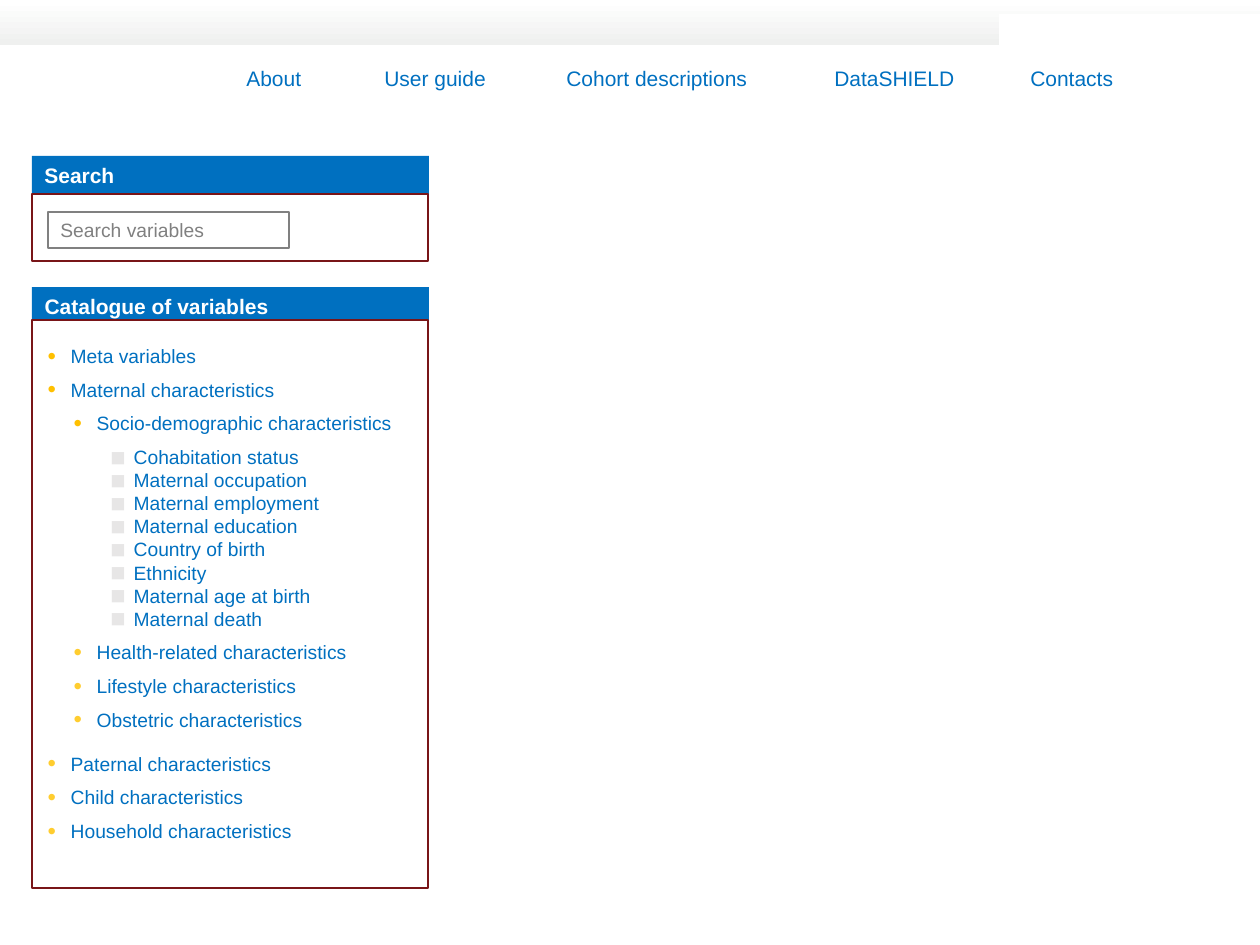
from typing import NamedTuple, Optional

from lxml.etree import SubElement
from pptx import Presentation
from pptx.dml.color import RGBColor
from pptx.enum.shapes import MSO_SHAPE as Preset
from pptx.enum.text import MSO_ANCHOR as Anchor, MSO_AUTO_SIZE as AutoSize, PP_ALIGN as Align
from pptx.oxml.ns import qn
from pptx.util import Emu, Pt

EMU_PER_PX = 914400 / 126
COLORS = {
    "white": "FFFFFF", "band": "EFF0EF", "blue": "0070C0", "maroon": "791518",
    "gray": "808080", "amber": "FFC000", "gold": "FFCD2F", "silver": "E7E6E6",
}
HANGING = 23


class Box(NamedTuple):
    left: int
    top: int
    width: int
    height: int


class Level(NamedTuple):
    margin: int
    bullet: str
    after: int


class Entry(NamedTuple):
    text: str
    level: Level
    bullet_color: str
    before: int = 0


TOPIC = Level(23, "•", 6)
GROUP = Level(49, "•", 6)
VARIABLE = Level(86, "◼", 0)

SOCIO_DEMOGRAPHIC = [
    "Cohabitation status", "Maternal occupation", "Maternal employment",
    "Maternal education", "Country of birth", "Ethnicity",
    "Maternal age at birth", "Maternal death",
]
CATALOGUE = [
    Entry("Meta variables", TOPIC, "amber"),
    Entry("Maternal characteristics", TOPIC, "amber"),
    Entry("Socio-demographic characteristics", GROUP, "amber"),
    *[Entry(name, VARIABLE, "silver") for name in SOCIO_DEMOGRAPHIC],
    Entry("Health-related characteristics", GROUP, "gold", 6),
    Entry("Lifestyle characteristics", GROUP, "gold"),
    Entry("Obstetric characteristics", GROUP, "gold"),
    Entry("Paternal characteristics", TOPIC, "gold", 6),
    Entry("Child characteristics", TOPIC, "gold"),
    Entry("Household characteristics", TOPIC, "gold"),
]
NAVIGATION = ["About", "User guide", "Cohort descriptions", "DataSHIELD", "Contacts"]
NAVIGATION_STOPS = [138, 320, 588, 784]


def px(length: int) -> Emu:
    return Emu(round(length * EMU_PER_PX))


def rgb(name: str) -> RGBColor:
    return RGBColor.from_string(COLORS[name])


def place(shape, box: Box) -> None:
    shape.left, shape.top, shape.width, shape.height = map(px, box)


def write(paragraph, text: str, *, size: int = 12, color: str = "blue",
          bold: bool = False) -> None:
    paragraph.alignment = Align.LEFT
    run = paragraph.add_run()
    run.text = text
    run.font.name = "Arial"
    run.font.size = Pt(size)
    run.font.bold = bold
    run.font.color.rgb = rgb(color)


def prepare_frame(shape):
    frame = shape.text_frame
    frame.word_wrap = True
    frame.auto_size = AutoSize.NONE
    frame.vertical_anchor = Anchor.TOP
    return frame


def add_panel(slide, box: Box, fill: Optional[str] = "white",
              line: Optional[str] = None, line_width: float = 1):
    panel = slide.shapes.add_shape(Preset.RECTANGLE, *map(px, box))
    panel.shadow.inherit = False
    if fill:
        panel.fill.solid()
        panel.fill.fore_color.rgb = rgb(fill)
    else:
        panel.fill.background()
    if line:
        panel.line.color.rgb = rgb(line)
        panel.line.width = Pt(line_width)
    else:
        panel.line.fill.background()
    return panel


def add_banner(slide) -> None:
    band = add_panel(slide, Box(0, 0, 1260, 45))
    band.fill.gradient()
    band.fill.gradient_angle = 270
    for stop, color in zip(band.fill.gradient_stops, ("white", "band")):
        stop.color.rgb = rgb(color)
    add_panel(slide, Box(999, 14, 261, 81))


def add_navigation(slide) -> None:
    menu = slide.shapes.add_textbox(*map(px, Box(234, 59, 956, 38)))
    paragraph = prepare_frame(menu).paragraphs[0]
    tabs = SubElement(paragraph._p.get_or_add_pPr(), qn("a:tabLst"))
    for stop in NAVIGATION_STOPS:
        SubElement(tabs, qn("a:tab"), pos=str(px(stop)), algn="l")
    write(paragraph, "\t".join(NAVIGATION))


def add_search(slide) -> None:
    heading = add_panel(slide, Box(32, 156, 397, 38), "blue")
    write(prepare_frame(heading).paragraphs[0], "Search", color="white", bold=True)
    add_panel(slide, Box(32, 194, 396, 67), line="maroon")
    field = add_panel(slide, Box(48, 212, 241, 36), None, "gray", 0.75)
    write(prepare_frame(field).paragraphs[0], "Search variables", size=11, color="gray")


def write_entry(paragraph, entry: Entry) -> None:
    properties = paragraph._p.get_or_add_pPr()
    properties.set("marL", str(px(entry.level.margin)))
    properties.set("indent", str(-px(HANGING)))
    bullet_color = SubElement(properties, qn("a:buClr"))
    SubElement(bullet_color, qn("a:srgbClr"), val=COLORS[entry.bullet_color])
    SubElement(properties, qn("a:buSzPct"), val="125000")
    SubElement(properties, qn("a:buFont"), typeface="Arial")
    SubElement(properties, qn("a:buChar"), char=entry.level.bullet)
    paragraph.level = 0 if entry.level is TOPIC else 1
    paragraph.space_before = Pt(entry.before)
    paragraph.space_after = Pt(entry.level.after)
    write(paragraph, entry.text, size=11)


def add_catalogue(slide) -> None:
    heading = slide.shapes.title
    place(heading, Box(32, 287, 397, 38))
    heading.fill.solid()
    heading.fill.fore_color.rgb = rgb("blue")
    write(prepare_frame(heading).paragraphs[0], "Catalogue of variables",
          color="white", bold=True)
    add_panel(slide, Box(32, 320, 396, 568), line="maroon")

    variables = slide.placeholders[1]
    place(variables, Box(35, 338, 394, 550))
    slide.shapes.element.append(variables.element)
    frame = prepare_frame(variables)
    for index, entry in enumerate(CATALOGUE):
        write_entry(frame.add_paragraph() if index else frame.paragraphs[0], entry)


def main() -> None:
    presentation = Presentation()
    presentation.slide_width = px(1260)
    presentation.slide_height = px(945)
    slide = presentation.slides.add_slide(presentation.slide_layouts[1])
    add_banner(slide)
    add_navigation(slide)
    add_search(slide)
    add_catalogue(slide)
    presentation.save("out.pptx")


if __name__ == "__main__":
    main()
